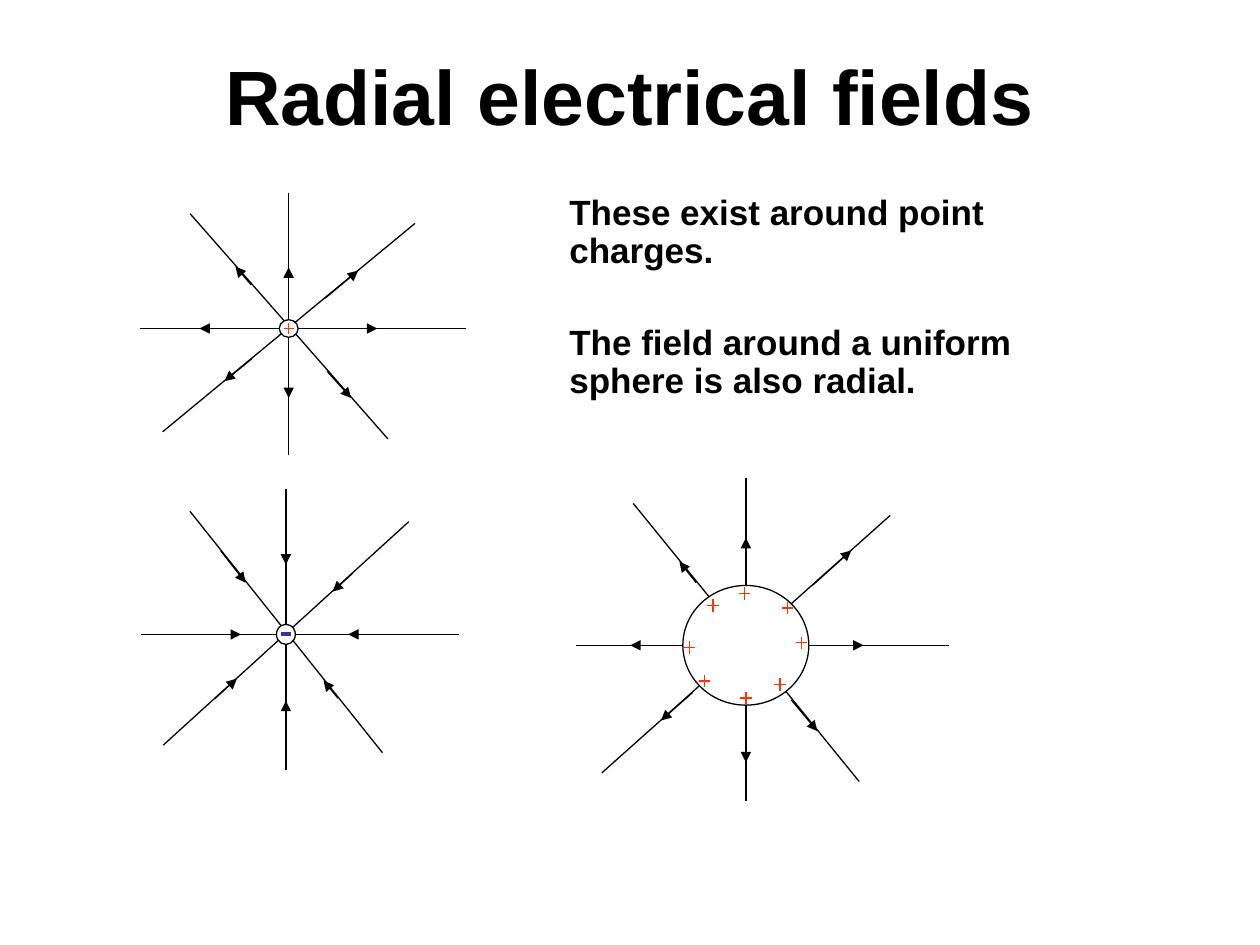
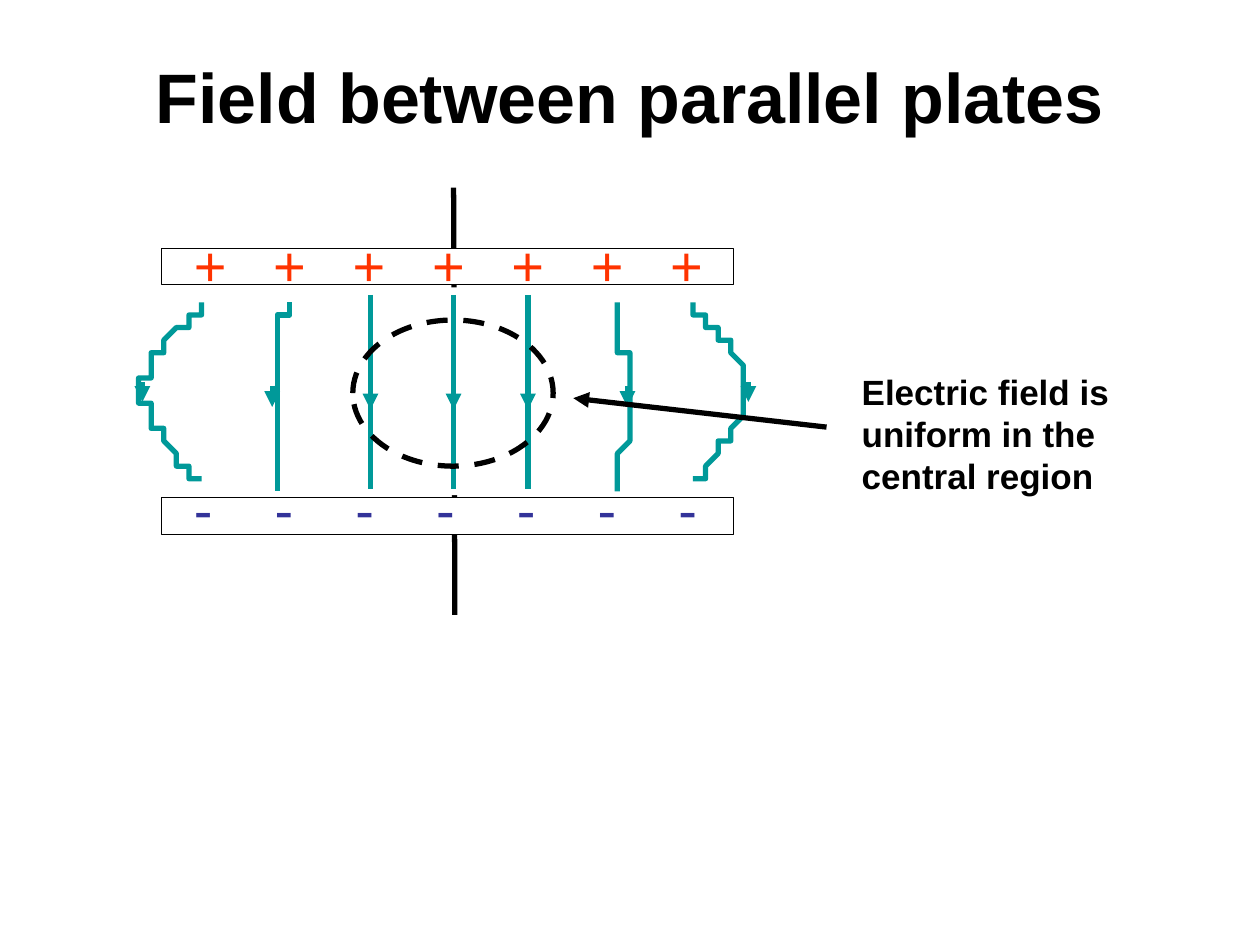
from dataclasses import dataclass
from typing import Any

from lxml.etree import SubElement
from pptx import Presentation
from pptx.dml.color import RGBColor
from pptx.enum.dml import MSO_LINE
from pptx.enum.shapes import MSO_CONNECTOR, MSO_SHAPE
from pptx.enum.text import MSO_ANCHOR, MSO_AUTO_SIZE, PP_ALIGN
from pptx.oxml.ns import qn
from pptx.util import Inches, Pt

Point = tuple[float, float]
Box = tuple[float, float, float, float]

# The slide is a grid of 100 columns by 75 rows; every length is in cells.
COLUMNS, ROWS = 100, 75
CELL = Inches(0.1)

COLOURS = {
    "ink": "000000",
    "paper": "FFFFFF",
    "positive": "FF3300",
    "negative": "333399",
    "field": "009999",
}
FONT = "Arial"
THIN, THICK = 0.75, 3
TITLE_FRAME = {"vertical_anchor": MSO_ANCHOR.MIDDLE, "word_wrap": True,
               "auto_size": MSO_AUTO_SIZE.NONE}
TEXT_FRAME = {"word_wrap": True, "auto_size": MSO_AUTO_SIZE.NONE}

# Ray tips clockwise from north, in percent of the frame of a radial field.
HUB = (45.6, 51.8)
RAY_TIPS = [(45.6, 0), (84.3, 11.7), (100, 51.8), (76, 93.9),
            (45.6, 100), (7, 91.2), (0, 51.8), (15.4, 8)]


@dataclass(frozen=True)
class RadialField:
    frame: Box
    sphere: Point                    # width and height
    arrows: list[Point]              # start and end, percent of each ray
    charge: str
    charge_size: Point
    charge_places: list[Point]       # percent of the sphere's box


@dataclass(frozen=True)
class CurvedLine:
    """A field line left of the centre; its twin is mirrored about axis."""
    points: list[Point]              # two joined cubic Bézier curves
    arrow_rows: Point
    axis: float


@dataclass(frozen=True)
class Plate:
    row: float
    sign: str
    charge: str
    label_row: float
    pitch: float


RADIAL_FIELDS = [
    RadialField((11.1, 15.3, 25.9, 20.8), (1.5, 1.4),
                [(31, 45), (29, 55), (34, 50), (39, 63),
                 (30, 55), (29, 51), (33, 60), (38, 54)],
                "positive", (0.8, 0.8), [(50, 50)]),
    RadialField((11.2, 38.8, 25.2, 22.3), (1.5, 1.6),
                [(71, 48), (54, 38), (49, 36), (54, 39),
                 (64, 49), (58, 40), (49, 31), (68, 42)],
                "negative", (0.8, 0), [(50, 50)]),
    RadialField((45.7, 37.9, 29.6, 25.7), (10, 9.5),
                [(50, 64), (46, 73), (42, 58), (40, 63),
                 (51, 75), (37, 59), (41, 68), (44, 59)],
                "positive", (0.9, 1),
                [(49, 7), (83, 19), (94, 48), (77, 83),
                 (50, 94), (17, 80), (5, 52), (24, 17)]),
]

PLATES = [
    Plate(19.7, "+", "positive", 17.8, 6.3),
    Plate(39.5, "-", "negative", 37.2, 6.41),
]
CHARGES_PER_PLATE = 7
STRAIGHT_LINE_COLUMNS = [29.4, 36, 41.9]
CURVED_LINES = [
    CurvedLine([(22.7, 23.6), (22.2, 26), (21.7, 28.5), (21.6, 31),
                (21.6, 33.5), (21.9, 36.1), (22.3, 38.6)], (30.6, 32.3), 35.7),
    CurvedLine([(16.1, 24), (15.3, 25.1), (11.4, 28.5), (11.3, 30.9),
                (11.2, 33.3), (14.6, 36.7), (15.5, 38.3)], (30.3, 31.9), 35.35),
]


def cells(*lengths: float) -> list[int]:
    return [round(length * CELL) for length in lengths]


def colour(name: str) -> RGBColor:
    return RGBColor.from_string(COLOURS[name])


def apply(target: Any, values: dict[str, Any]) -> None:
    for attribute, value in values.items():
        setattr(target, attribute, value)


def style_font(font: Any, size: float, ink: str = "ink", bold: bool = True) -> None:
    apply(font, {"name": FONT, "size": Pt(size), "bold": bold})
    font.color.rgb = colour(ink)


def style_line(line: Any, ink: str, width: float) -> None:
    line.color.rgb = colour(ink)
    line.width = Pt(width)


def draw_line(slide: Any, start: Point, end: Point, ink: str = "ink",
              width: float = THIN, arrow: bool = False) -> None:
    connector = slide.shapes.add_connector(MSO_CONNECTOR.STRAIGHT, *cells(*start, *end))
    style_line(connector.line, ink, width)
    if arrow:
        SubElement(connector.line._get_or_add_ln(), qn("a:tailEnd"), type="triangle")
    SubElement(connector._element.spPr, qn("a:effectLst"))


def draw_shape(slide: Any, kind: MSO_SHAPE, box: Box, fill: str | None = "paper",
               width: float = THIN) -> Any:
    """Draw a preset shape; no fill name or no width leaves that part out."""
    shape = slide.shapes.add_shape(kind, *cells(*box))
    shape.shadow.inherit = False
    if fill:
        shape.fill.solid()
        shape.fill.fore_color.rgb = colour(fill)
    else:
        shape.fill.background()
    if width:
        style_line(shape.line, "ink", width)
    else:
        shape.line.fill.background()
    return shape


def write_text(slide: Any, box: Box, texts: list[str], size: float, ink: str = "ink",
               bold: bool = True, spacing: float = 1, gap: float = 0) -> Any:
    frame = slide.shapes.add_textbox(*cells(*box)).text_frame
    apply(frame, TEXT_FRAME)
    for index, text in enumerate(texts):
        paragraph = frame.add_paragraph() if index else frame.paragraphs[0]
        run = paragraph.add_run()
        run.text = text
        style_font(run.font, size, ink, bold)
        paragraph.line_spacing = spacing
        if index:
            paragraph.space_before = Pt(gap)
    return frame


def add_titled_slide(deck: Any, text: str, size: float) -> Any:
    slide = deck.slides.add_slide(deck.slide_layouts[5])
    title = slide.shapes.title
    apply(title, dict(zip(("left", "top", "width", "height"), cells(5, 3, 90, 9.1))))
    apply(title.text_frame, TITLE_FRAME)
    title.text_frame.text = text
    heading = title.text_frame.paragraphs[0]
    heading.alignment = PP_ALIGN.CENTER
    style_font(heading.runs[0].font, size)
    return slide


def within(box: Box, place: Point) -> Point:
    """Turn a place in percent of a box into grid cells."""
    left, top, width, height = box
    return left + width * place[0] / 100, top + height * place[1] / 100


def along(start: Point, end: Point, percent: float) -> Point:
    return within((*start, end[0] - start[0], end[1] - start[1]), (percent, percent))


def draw_charge(slide: Any, centre: Point, size: Point, charge: str) -> None:
    """Draw a plus, or only a heavier bar for a negative charge."""
    (x, y), (width, height) = centre, size
    weight = THIN if charge == "positive" else 2.25
    draw_line(slide, (x - width / 2, y), (x + width / 2, y), charge, weight)
    if charge == "positive":
        draw_line(slide, (x, y - height / 2), (x, y + height / 2), charge, weight)


def draw_radial_field(slide: Any, field: RadialField) -> None:
    hub = within(field.frame, HUB)
    tips = [within(field.frame, tip) for tip in RAY_TIPS]
    for tip, opposite in zip(tips[:4], tips[4:]):
        draw_line(slide, tip, opposite)
    width, height = field.sphere
    sphere = (hub[0] - width / 2, hub[1] - height / 2, width, height)
    draw_shape(slide, MSO_SHAPE.OVAL, sphere)
    for tip, (start, end) in zip(tips, field.arrows):
        draw_line(slide, along(hub, tip, start), along(hub, tip, end), arrow=True)
    for place in field.charge_places:
        draw_charge(slide, within(sphere, place), field.charge_size, field.charge)


def bezier(controls: list[Point], steps: int = 16) -> list[Point]:
    """Sample a cubic curve, leaving out its first point."""
    samples = []
    for step in range(1, steps + 1):
        t = step / steps
        weights = ((1 - t) ** 3, 3 * t * (1 - t) ** 2, 3 * t * t * (1 - t), t ** 3)
        samples.append(tuple(sum(w * point[axis] for w, point in zip(weights, controls))
                             for axis in (0, 1)))
    return samples


def draw_curve(slide: Any, points: list[Point], arrow_rows: Point) -> None:
    outline = bezier(points[:4]) + bezier(points[3:])
    builder = slide.shapes.build_freeform(*points[0], scale=CELL)
    builder.add_line_segments(outline, close=False)
    curve = builder.convert_to_shape()
    curve.shadow.inherit = False
    curve.fill.background()
    style_line(curve.line, "field", THICK)
    column = points[3][0]
    start, end = arrow_rows
    draw_line(slide, (column, start), (column, end), "field", THICK, arrow=True)


def draw_plate_charges(slide: Any, plate: Plate) -> None:
    frame = write_text(slide, (14.4, plate.label_row, 45.9, 6.4),
                       ["\t".join([plate.sign] * CHARGES_PER_PLATE)],
                       32, plate.charge, bold=False)
    stops = SubElement(frame.paragraphs[0]._p.get_or_add_pPr(), qn("a:tabLst"))
    for index in range(1, CHARGES_PER_PLATE):
        SubElement(stops, qn("a:tab"), pos=str(cells(index * plate.pitch)[0]), algn="l")


def build_radial_slide(deck: Any) -> None:
    slide = add_titled_slide(deck, "Radial electrical fields", 44)
    write_text(slide, (44.2, 15, 42.9, 21.4),
               ["These exist around point charges.",
                "The field around a uniform sphere is also radial."],
               20, spacing=0.9, gap=31)
    for field in RADIAL_FIELDS:
        draw_radial_field(slide, field)


def build_plates_slide(deck: Any) -> None:
    slide = add_titled_slide(deck, "Field between parallel plates", 40)
    draw_line(slide, (36, 14.9), (36.1, 48.8), width=THICK)
    for plate in PLATES:
        draw_shape(slide, MSO_SHAPE.RECTANGLE, (12.8, plate.row, 45.4, 2.9))
    draw_shape(slide, MSO_SHAPE.RECTANGLE, (34.1, 22.8, 4.4, 16.5), width=0)
    for plate in PLATES:
        draw_plate_charges(slide, plate)

    for column in STRAIGHT_LINE_COLUMNS:
        draw_line(slide, (column, 23.4), (column, 38.8), "field", THICK)
        draw_line(slide, (column, 28.9), (column, 32.5), "field", THICK, arrow=True)
    for line in CURVED_LINES:
        mirrored = [(2 * line.axis - x, y) for x, y in line.points]
        for points in (line.points, mirrored):
            draw_curve(slide, points, line.arrow_rows)

    uniform_region = draw_shape(slide, MSO_SHAPE.OVAL, (28, 25.4, 15.9, 11.6), None, THICK)
    uniform_region.line.dash_style = MSO_LINE.DASH
    draw_line(slide, (65.6, 33.9), (45.5, 31.6), width=THICK, arrow=True)
    write_text(slide, (67.4, 28.9, 26.5, 11),
               ["Electric field is uniform in the central region"], 20)


def main() -> None:
    deck = Presentation()
    deck.slide_width, deck.slide_height = cells(COLUMNS, ROWS)
    build_radial_slide(deck)
    build_plates_slide(deck)
    deck.save("out.pptx")


if __name__ == "__main__":
    main()
